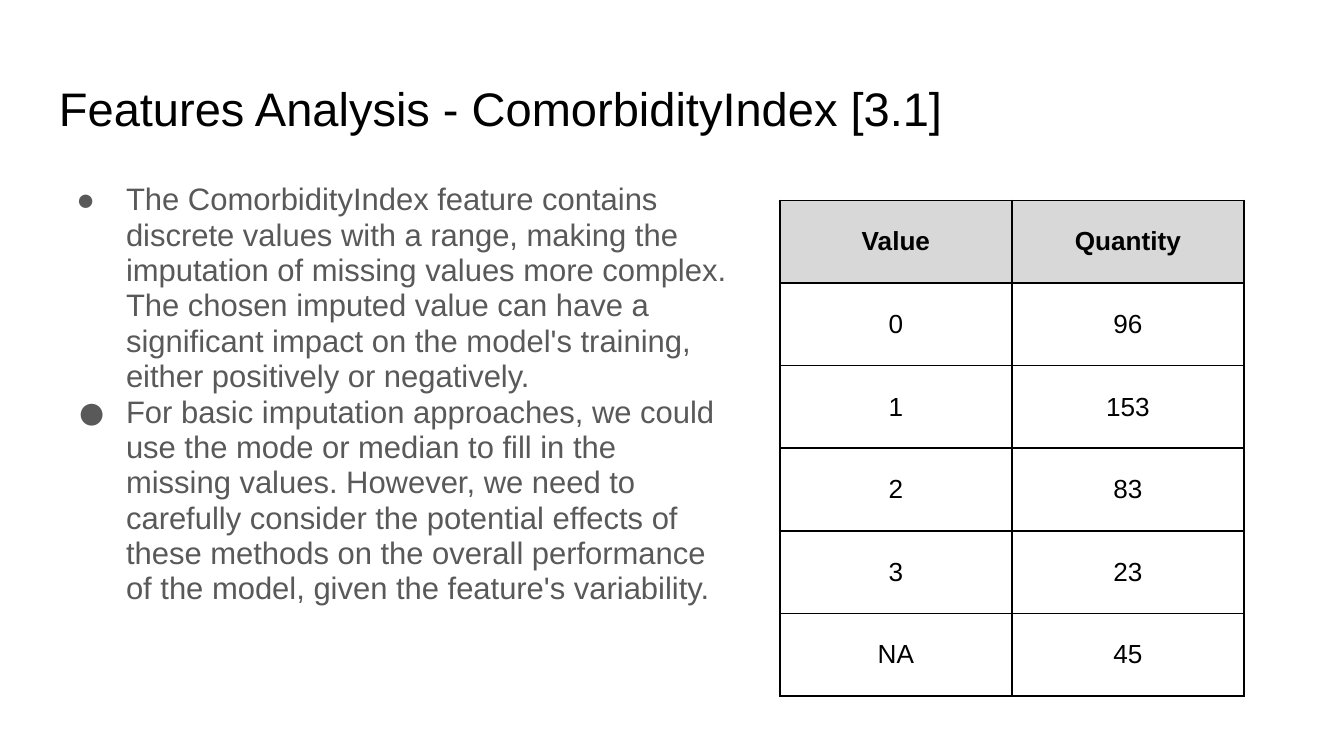
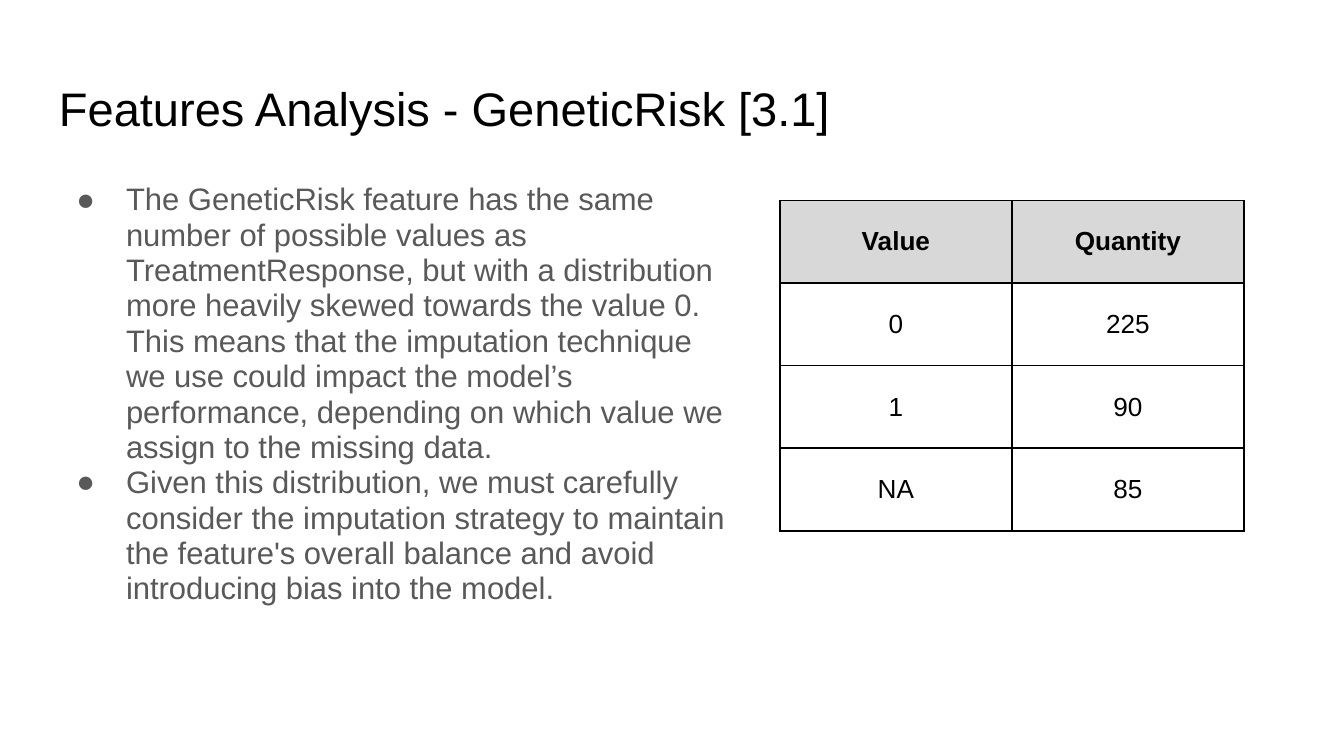
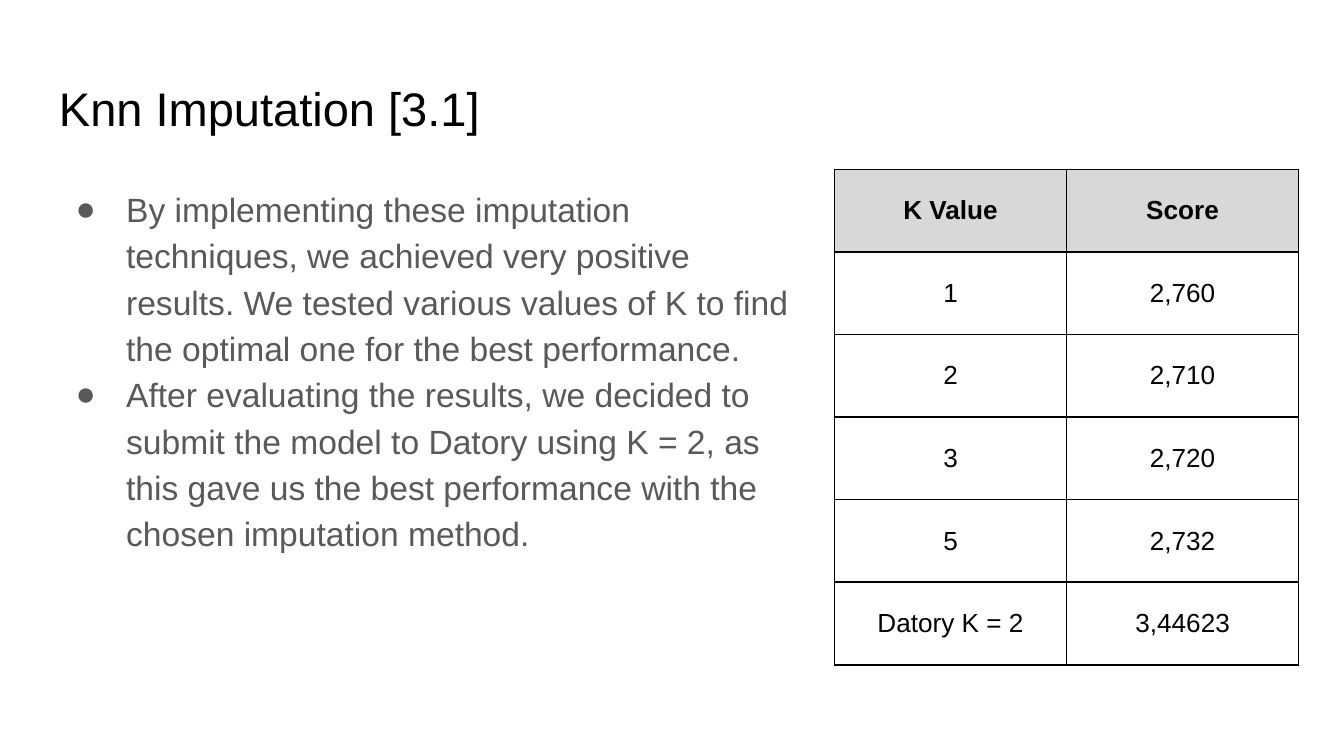
from lxml.etree import SubElement as Sub
from pptx import Presentation
from pptx.dml.color import RGBColor
from pptx.enum.text import MSO_ANCHOR as Anchor, PP_ALIGN as Align
from pptx.oxml.ns import qn
from pptx.util import Pt

# Shared look
FONT = "Arial"
BLACK, GREY, HEAD, WHITE = "000000", "595959", "D8D8D8", "FFFFFF"
LEFT, PAD = 24.5, 7.2
COL_W, ROW_H = 124.3, 44.25


def paint(hue):
    return RGBColor.from_string(hue)


def add_run(para, text, size, hue, bold=False):
    run = para.add_run()
    run.text = text
    font = run.font
    font.name, font.size, font.bold = FONT, Pt(size), bold
    font.color.rgb = paint(hue)


def add_box(slide, top, width, height):
    box = slide.shapes.add_textbox(Pt(LEFT), Pt(top), Pt(width), Pt(height))
    frame = box.text_frame
    frame.word_wrap = True
    frame.margin_left = frame.margin_right = Pt(PAD)
    frame.margin_top = frame.margin_bottom = Pt(PAD)
    return frame


def add_title(slide, text):
    frame = add_box(slide, 35.3, 671, 45.4)
    add_run(frame.paragraphs[0], text, 25.2, BLACK)


def set_bullet(para, indent, scale):
    props = para._p.get_or_add_pPr()
    props.set("marL", str(Pt(36)))
    props.set("indent", str(Pt(-indent)))
    Sub(Sub(props, qn("a:buClr")), qn("a:srgbClr"), val=GREY)
    if scale != 100:
        Sub(props, qn("a:buSzPct"), val=str(scale * 1000))
    Sub(props, qn("a:buFont"), typeface=FONT)
    Sub(props, qn("a:buChar"), char="●")


def add_list(slide, items, width=372.2, size=16.6, space=0.95,
             before=0, indent=26.6, scales=(100, 100)):
    frame = add_box(slide, 90.7, width, 269)
    for i, (text, scale) in enumerate(zip(items, scales)):
        para = frame.add_paragraph() if i else frame.paragraphs[0]
        para.line_spacing = space
        para.space_before = Pt(0 if i else before)
        set_bullet(para, indent, scale)
        add_run(para, text, size, GREY)


def set_border(cell):
    props = cell._tc.get_or_add_tcPr()
    for side in ("L", "R", "T", "B"):
        line = Sub(props, qn("a:ln" + side), w=str(Pt(1)))
        Sub(Sub(line, qn("a:solidFill")), qn("a:srgbClr"), val=BLACK)


def add_grid(slide, rows, left=417.8, top=107.4):
    count = len(rows[0])
    grid = slide.shapes.add_table(len(rows), count, Pt(left), Pt(top),
                                  Pt(COL_W * count), Pt(ROW_H * len(rows))).table
    grid.first_row = grid.horz_banding = False
    for col in grid.columns:
        col.width = Pt(COL_W)
    for r, row in enumerate(rows):
        grid.rows[r].height = Pt(ROW_H)
        for c, text in enumerate(row):
            cell = grid.cell(r, c)
            set_border(cell)
            cell.fill.solid()
            cell.fill.fore_color.rgb = paint(WHITE if r else HEAD)
            cell.vertical_anchor = Anchor.MIDDLE
            para = cell.text_frame.paragraphs[0]
            para.alignment = Align.CENTER
            add_run(para, text, 14, BLACK, bold=r == 0)


def add_page(deck, title):
    slide = deck.slides.add_slide(deck.slide_layouts[6])
    add_title(slide, title)
    return slide


def main():
    deck = Presentation()
    deck.slide_width, deck.slide_height = Pt(720), Pt(405)

    # Comorbidity index
    page = add_page(deck, "Features Analysis - ComorbidityIndex [3.1]")
    add_list(page, [
        "The ComorbidityIndex feature contains discrete values with a range, "
        "making the imputation of missing values more complex. The chosen "
        "imputed value can have a significant impact on the model's training, "
        "either positively or negatively.",
        "For basic imputation approaches, we could use the mode or median to "
        "fill in the missing values. However, we need to carefully consider "
        "the potential effects of these methods on the overall performance of "
        "the model, given the feature's variability.",
    ], scales=(100, 164))
    add_grid(page, [("Value", "Quantity"), ("0", "96"), ("1", "153"),
                    ("2", "83"), ("3", "23"), ("NA", "45")])

    # Genetic risk
    page = add_page(deck, "Features Analysis - GeneticRisk [3.1]")
    add_list(page, [
        "The GeneticRisk feature has the same number of possible values as "
        "TreatmentResponse, but with a distribution more heavily skewed "
        "towards the value 0. This means that the imputation technique we use "
        "could impact the model’s performance, depending on which value we "
        "assign to the missing data.",
        "Given this distribution, we must carefully consider the imputation "
        "strategy to maintain the feature's overall balance and avoid "
        "introducing bias into the model.",
    ])
    add_grid(page, [("Value", "Quantity"), ("0", "225"), ("1", "90"),
                    ("NA", "85")])

    # Knn scores
    page = add_page(deck, "Knn Imputation [3.1]")
    add_list(page, [
        "By implementing these imputation techniques, we achieved very "
        "positive results. We tested various values of K to find the optimal "
        "one for the best performance.",
        "After evaluating the results, we decided to submit the model to "
        "Datory using K = 2, as this gave us the best performance with the "
        "chosen imputation method.",
    ], width=409.7, size=18, space=1.15, before=12, indent=27)
    add_grid(page, [("K Value", "Score"), ("1", "2,760"), ("2", "2,710"),
                    ("3", "2,720"), ("5", "2,732"),
                    ("Datory K = 2", "3,44623")], left=447.1, top=90.7)

    deck.save("out.pptx")


if __name__ == "__main__":
    main()
